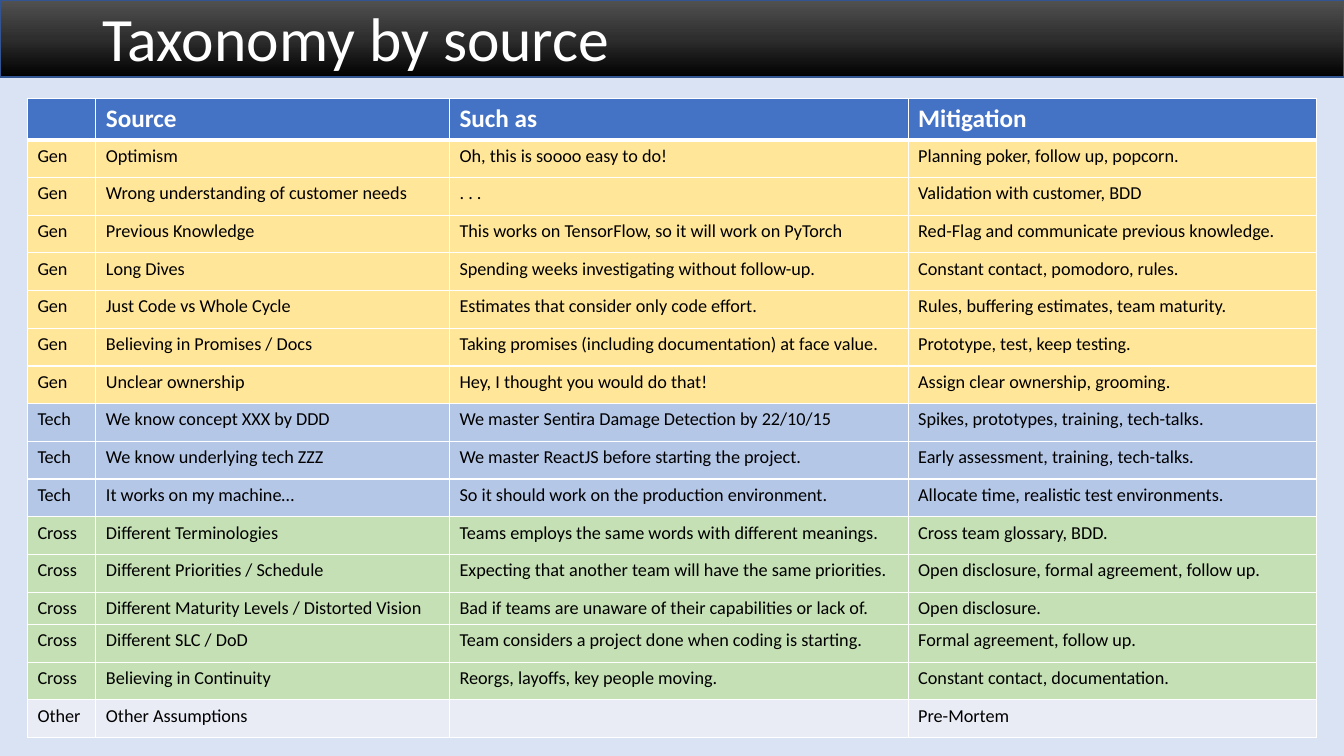
"""Build the slide that lists assumption sources and their mitigations."""
from copy import deepcopy

from lxml import etree
from pptx import Presentation
from pptx import util as u
from pptx.dml.color import RGBColor
from pptx.enum import shapes, text
from pptx.oxml.ns import qn

FONT = "Calibri"
COLORS = {
    "page": "DAE3F3", "white": "FFFFFF", "black": "000000",
    "bar_top": "515151", "bar_middle": "2E2E2E", "bar_bottom": "000000",
    "bar_line": "325491", "header": "4472C4",
    "Gen": "FFE699", "Tech": "B4C7E7", "Cross": "C5E0B4", "Other": "E9EBF5",
}
HEADINGS = ("", "Source", "Such as", "Mitigation")
SOURCES = {
    "Gen": [
        ("Optimism", "Oh, this is soooo easy to do!", "Planning poker, follow up, popcorn."),
        ("Wrong understanding of customer needs", ". . .", "Validation with customer, BDD"),
        ("Previous Knowledge", "This works on TensorFlow, so it will work on PyTorch",
         "Red-Flag and communicate previous knowledge."),
        ("Long Dives", "Spending weeks investigating without follow-up.",
         "Constant contact, pomodoro, rules."),
        ("Just Code vs Whole Cycle", "Estimates that consider only code effort.",
         "Rules, buffering estimates, team maturity."),
        ("Believing in Promises / Docs",
         "Taking promises (including documentation) at face value.",
         "Prototype, test, keep testing."),
        ("Unclear ownership", "Hey, I thought you would do that!",
         "Assign clear ownership, grooming."),
    ],
    "Tech": [
        ("We know concept XXX by DDD", "We master Sentira Damage Detection by 22/10/15",
         "Spikes, prototypes, training, tech-talks."),
        ("We know underlying tech ZZZ", "We master ReactJS before starting the project.",
         "Early assessment, training, tech-talks."),
        ("It works on my machine…", "So it should work on the production environment.",
         "Allocate time, realistic test environments."),
    ],
    "Cross": [
        ("Different Terminologies", "Teams employs the same words with different meanings.",
         "Cross team glossary, BDD."),
        ("Different Priorities / Schedule",
         "Expecting that another team will have the same priorities.",
         "Open disclosure, formal agreement, follow up."),
        ("Different Maturity Levels / Distorted Vision",
         "Bad if teams are unaware of their capabilities or lack of.", "Open disclosure."),
        ("Different SLC / DoD", "Team considers a project done when coding is starting.",
         "Formal agreement, follow up."),
        ("Believing in Continuity", "Reorgs, layoffs, key people moving.",
         "Constant contact, documentation."),
    ],
    "Other": [("Other Assumptions", "", "Pre-Mortem")],
}
COLUMN_WIDTHS = (48.9, 252.6, 327.6, 291.6)
HEADER_HEIGHT, ROW_HEIGHT, SHORT_HEIGHT = 29.2, 26.93, 23
SHORT_ROW = "Different Maturity Levels / Distorted Vision"


def color(name):
    """Return the named colour."""
    return RGBColor.from_string(COLORS[name])


def write(frame, words, size=13, ink="black", bold=False, spacing=None):
    """Put one formatted left-aligned paragraph into a text frame."""
    para = frame.paragraphs[0]
    para.alignment = text.PP_ALIGN.LEFT
    para.line_spacing = spacing
    if words:
        span = para.add_run()
        span.text = words
        span.font.name, span.font.size, span.font.bold = FONT, u.Pt(size), bold
        span.font.color.rgb = color(ink)
    else:
        etree.SubElement(para._p, qn("a:endParaRPr"), sz=str(size * 100))


def set_borders(cell, **widths):
    """Give a cell white borders, with widths in points by side."""
    properties = cell._tc.get_or_add_tcPr()
    for side in ("L", "R", "T", "B"):
        line = etree.SubElement(properties, qn(f"a:ln{side}"), w=str(u.Pt(widths.get(side, 1))))
        fill = etree.SubElement(line, qn("a:solidFill"))
        etree.SubElement(fill, qn("a:srgbClr"), val=COLORS["white"])


def add_title_bar(page, left, top, width, height):
    """Draw the gradient bar and set the title over it."""
    bar = page.shapes.add_shape(shapes.MSO_SHAPE.RECTANGLE, *map(u.Pt, (left, top, width, height)))
    bar.shadow.inherit = False
    bar.line.color.rgb, bar.line.width = color("bar_line"), u.Pt(1)
    bar.fill.gradient()
    bar.fill.gradient_angle = 270
    first = bar._element.find(".//" + qn("a:gs"))
    first.addnext(deepcopy(first))
    names = ("bar_top", "bar_middle", "bar_bottom")
    for index, (stop, name) in enumerate(zip(bar.fill.gradient_stops, names)):
        stop.position = index / 2
        stop.color.rgb = color(name)
    page.shapes._spTree.insert(2, bar._element)

    title = page.shapes.title
    title.left, title.top = u.Pt(left + 66.2), u.Pt(top + 2.2)
    title.width, title.height = u.Pt(828), u.Pt(height)
    frame = title.text_frame
    frame.auto_size = text.MSO_AUTO_SIZE.NONE
    frame.vertical_anchor = text.MSO_ANCHOR.MIDDLE
    write(frame, "Taxonomy by source", size=44, ink="white", spacing=0.9)


def add_source_table(page, left, top):
    """Fill the table of sources, coloured by group."""
    rows = [(group, *entry) for group, entries in SOURCES.items() for entry in entries]
    heights = [HEADER_HEIGHT]
    heights += [SHORT_HEIGHT if row[1] == SHORT_ROW else ROW_HEIGHT for row in rows]
    box = page.shapes.add_table(len(heights), len(COLUMN_WIDTHS), u.Pt(left), u.Pt(top),
                                u.Pt(sum(COLUMN_WIDTHS)), u.Pt(sum(heights)))
    table = box.table
    table.horz_banding = False
    for column, width in zip(table.columns, COLUMN_WIDTHS):
        column.width = u.Pt(width)
    for index, (entry, height) in enumerate(zip([HEADINGS, *rows], heights)):
        table.rows[index].height = u.Pt(height)
        heading = index == 0
        style = {"size": 18, "ink": "white", "bold": True} if heading else {}
        edges = {0: {"B": 3}, 1: {"T": 3}}.get(index, {})
        for cell, words in zip(table.rows[index].cells, entry):
            set_borders(cell, **edges)
            cell.fill.solid()
            cell.fill.fore_color.rgb = color("header" if heading else entry[0])
            write(cell.text_frame, words, **style)


def main():
    """Build and save the deck."""
    deck = Presentation()
    deck.slide_width, deck.slide_height = u.Pt(960), u.Pt(540)
    page = deck.slides.add_slide(deck.slide_layouts[5])
    page.background.fill.solid()
    page.background.fill.fore_color.rgb = color("page")
    add_title_bar(page, 0, 0, 960, 55)
    add_source_table(page, 19.6, 70.6)
    deck.save("out.pptx")


main()
